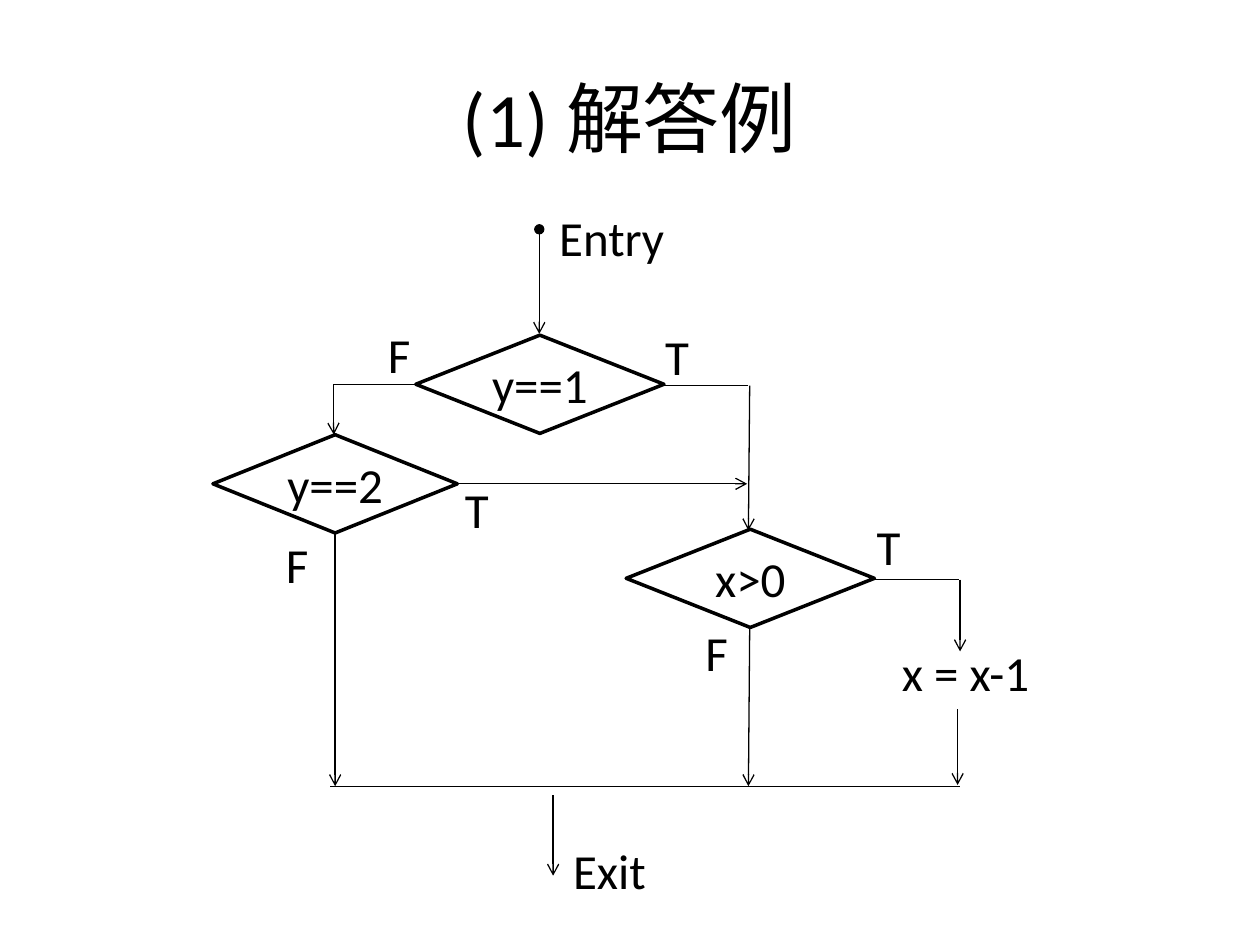
from lxml.etree import SubElement
from pptx import Presentation
from pptx.dml.color import RGBColor
from pptx.enum.shapes import MSO_CONNECTOR as LINK, MSO_SHAPE as SHAPE
from pptx.enum.text import MSO_ANCHOR as ANCHOR, MSO_AUTO_SIZE as FIT, PP_ALIGN as ALIGN
from pptx.oxml.ns import qn
from pptx.util import Pt

PX = 9144  # 100 px to the inch
BLACK = RGBColor.from_string("000000")


def write(frame, words, size, align):
    frame.text = words
    paragraph = frame.paragraphs[0]
    paragraph.alignment = align
    paragraph.font.name = "Calibri"
    paragraph.font.size = Pt(size)
    paragraph.font.color.rgb = BLACK


def link(kind, x1, y1, x2, y2, head=None, tail=None):
    flow = slide.shapes.add_connector(kind, x1 * PX, y1 * PX, x2 * PX, y2 * PX)
    flow.line.color.rgb = BLACK
    flow.line.width = Pt(0.75)
    ln = flow.line._get_or_add_ln()
    for end, style in (("a:headEnd", head), ("a:tailEnd", tail)):
        if style:
            SubElement(ln, qn(end), type=style)
    SubElement(flow._element.spPr, qn("a:effectLst"))
    return flow


deck = Presentation()
deck.slide_width, deck.slide_height = 1000 * PX, 750 * PX
slide = deck.slides.add_slide(deck.slide_layouts[5])

# Title
title = slide.shapes.title
title.left, title.top, title.width, title.height = 50 * PX, 30 * PX, 900 * PX, 125 * PX
title.text_frame.vertical_anchor = ANCHOR.MIDDLE
write(title.text_frame, "(1) 解答例", 44, ALIGN.CENTER)

# Conditions
for condition, x, y, width in (
    ("y==1", 330, 266, 197),
    ("y==2", 169, 345, 194),
    ("x>0", 497, 420, 197),
):
    decision = slide.shapes.add_shape(SHAPE.DIAMOND, x * PX, y * PX, width * PX, 78 * PX)
    decision.shadow.inherit = False
    decision.fill.background()
    decision.line.color.rgb = BLACK
    decision.line.width = Pt(2)
    decision.text_frame.word_wrap = False
    decision.text_frame.vertical_anchor = ANCHOR.MIDDLE
    write(decision.text_frame, condition, 28, ALIGN.CENTER)

# Straight flow: arrows, then plain lines
link(LINK.STRAIGHT, 428, 182, 428, 265, head="oval", tail="arrow")
for ends in (
    (595, 306, 594, 421),
    (364, 384, 593, 384),
    (266, 423, 266, 624),
    (595, 499, 594, 624),
    (762, 460, 762, 517),
    (760, 563, 760, 623),
    (439, 631, 439, 695),
):
    link(LINK.STRAIGHT, *ends, tail="arrow")
for ends in ((594, 306, 527, 306), (761, 460, 694, 460), (262, 624, 762, 624)):
    link(LINK.STRAIGHT, *ends)

# False branch of y==1, bending at its far end
false_branch = link(LINK.ELBOW, 330, 305, 265, 345, tail="arrow")
bend = false_branch._element.spPr.find(qn("a:prstGeom")).find(qn("a:avLst"))
SubElement(bend, qn("a:gd"), name="adj1", fmla="val 100500")

# Labels
for label, x, y, width in (
    ("Entry", 434, 160, 106),
    ("Exit", 445, 662, 79),
    ("x = x-1", 706, 505, 124),
    ("F", 298, 253, 38),
    ("T", 518, 254, 39),
    ("F", 217, 419, 38),
    ("T", 359, 376, 39),
    ("F", 550, 489, 38),
    ("T", 686, 405, 39),
):
    box = slide.shapes.add_textbox(x * PX, y * PX, width * PX, 57 * PX)
    box.text_frame.word_wrap = False
    box.text_frame.auto_size = FIT.SHAPE_TO_FIT_TEXT
    write(box.text_frame, label, 28, ALIGN.LEFT)

deck.save("out.pptx")
